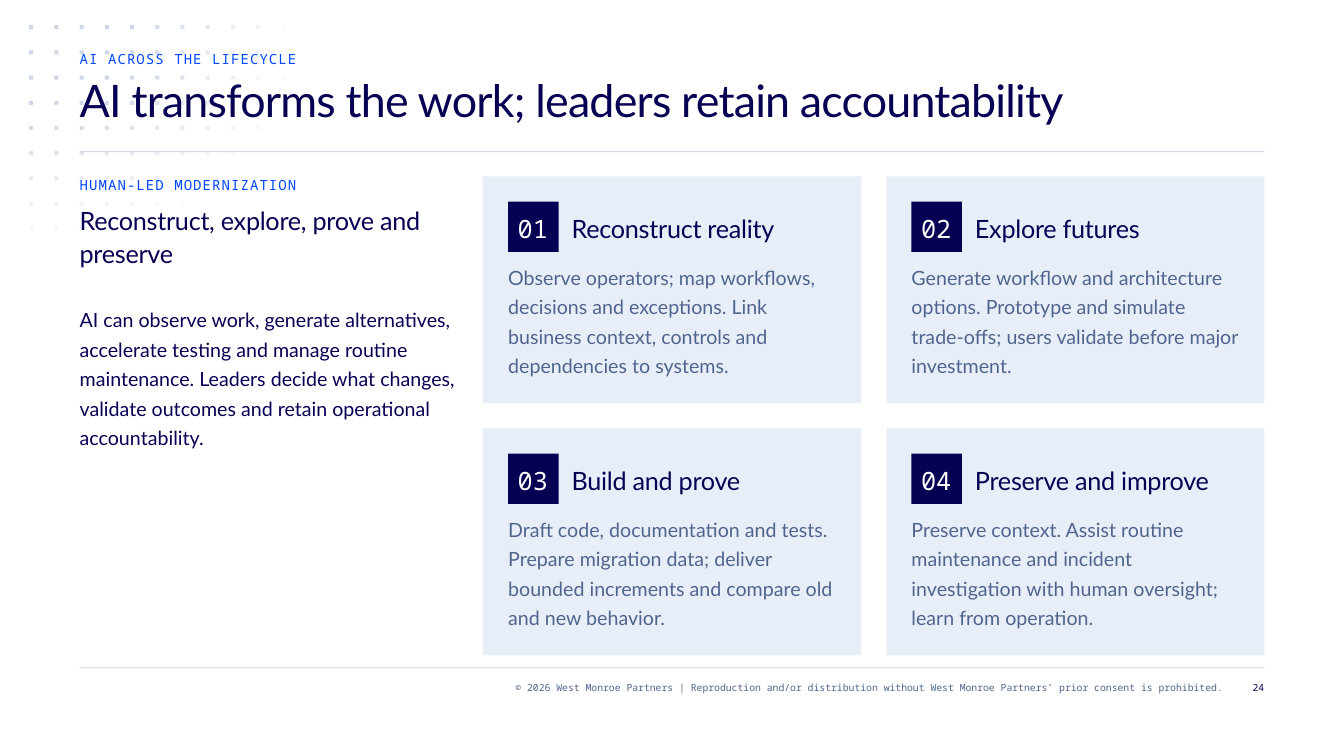
from math import hypot

from lxml.etree import SubElement
from pptx import Presentation
from pptx.dml.color import RGBColor
from pptx.enum.shapes import MSO_SHAPE
from pptx.enum.text import PP_ALIGN
from pptx.oxml.ns import qn
from pptx.util import Inches, Pt

EYEBROW = "AI ACROSS THE LIFECYCLE"
TITLE = "AI transforms the work; leaders retain accountability"
INTRO_LABEL = "HUMAN-LED MODERNIZATION"
INTRO_HEADING = "Reconstruct, explore, prove and preserve"
INTRO_BODY = (
    "AI can observe work, generate alternatives, accelerate testing and manage "
    "routine maintenance. Leaders decide what changes, validate outcomes and "
    "retain operational accountability."
)
STAGES = [
    ("Reconstruct reality",
     "Observe operators; map workflows, decisions and exceptions. Link business "
     "context, controls and dependencies to systems."),
    ("Explore futures",
     "Generate workflow and architecture options. Prototype and simulate "
     "trade-offs; users validate before major investment."),
    ("Build and prove",
     "Draft code, documentation and tests. Prepare migration data; deliver "
     "bounded increments and compare old and new behavior."),
    ("Preserve and improve",
     "Preserve context. Assist routine maintenance and incident investigation "
     "with human oversight; learn from operation."),
]
COPYRIGHT = (
    "© 2026 West Monroe Partners | Reproduction and/or distribution without "
    "West Monroe Partners’ prior consent is prohibited."
)
PAGE_NUMBER = "24"

NAVY = RGBColor(0x07, 0x01, 0x54)
BLUE = RGBColor(0x00, 0x47, 0xFF)
SLATE = RGBColor(0x50, 0x65, 0x8E)
MIST = RGBColor(0xCE, 0xD7, 0xE6)
PALE = RGBColor(0xE8, 0xEE, 0xF8)
WHITE = RGBColor(0xFF, 0xFF, 0xFF)
SANS, MONO = "Lato", "Noto Sans Mono"

LABEL = dict(font=MONO, size=10, leading=12, color=BLUE, tracking=0.8)
HEADLINE = dict(font=SANS, size=32, leading=36, color=NAVY, tracking=-0.6)
HEADING = dict(font=SANS, size=18, leading=24, color=NAVY, tracking=-0.2)
BODY = dict(font=SANS, size=14, leading=21, color=NAVY)
CARD_BODY = dict(BODY, color=SLATE)
NUMBER = dict(font=MONO, size=18, leading=24, color=WHITE, align=PP_ALIGN.CENTER)
FOOTER = dict(font=MONO, size=7, leading=9, color=SLATE, align=PP_ALIGN.RIGHT)
FOLIO = dict(FOOTER, color=NAVY)

MARGIN, CONTENT_WIDTH = 0.79, 11.75
COLUMN, CARD_HEIGHT, GUTTER = 3.75, 2.25, 0.25
CARDS_TOP = 1.75
DOT_LEFT, DOT_TOP, DOT_STEP, DOT_SIZE = 0.29, 0.25, 0.25, 0.04

presentation = Presentation()
presentation.slide_width = Inches(13.33)
presentation.slide_height = Inches(7.5)
slide = presentation.slides.add_slide(presentation.slide_layouts[6])


def add_block(left, top, width, height, color, opacity=100):
    block = slide.shapes.add_shape(
        MSO_SHAPE.RECTANGLE, Inches(left), Inches(top), Inches(width), Inches(height))
    block.shadow.inherit = False
    block.fill.solid()
    block.fill.fore_color.rgb = color
    block.line.fill.background()
    if opacity < 100:
        tint = block.fill._xPr.find(qn("a:solidFill"))[0]
        SubElement(tint, qn("a:alpha")).set("val", str(opacity * 1000))


def add_text(text, left, top, width, height, font, size, leading, color,
             tracking=0, align=PP_ALIGN.LEFT):
    box = slide.shapes.add_textbox(
        Inches(left), Inches(top), Inches(width), Inches(height))
    frame = box.text_frame
    frame.word_wrap = True
    frame.margin_left = frame.margin_right = 0
    frame.margin_top = frame.margin_bottom = 0
    paragraph = frame.paragraphs[0]
    paragraph.alignment = align
    paragraph.line_spacing = Pt(leading)
    run = paragraph.add_run()
    run.text = text
    run.font.name = font
    run.font.size = Pt(size)
    run.font.color.rgb = color
    if tracking:
        run.font._element.set("spc", str(round(tracking * 100)))


def add_dots():
    for column in range(11):
        for row in range(9):
            opacity = min(100, round(152.5 - 13.83 * hypot(column, 1.21 * row)))
            if opacity > 2:
                add_block(DOT_LEFT + column * DOT_STEP, DOT_TOP + row * DOT_STEP,
                          DOT_SIZE, DOT_SIZE, MIST, opacity)


def add_card(index, heading, body):
    row, column = divmod(index, 2)
    left = MARGIN + (column + 1) * (COLUMN + GUTTER)
    top = CARDS_TOP + row * (CARD_HEIGHT + GUTTER)
    inner = left + GUTTER
    add_block(left, top, COLUMN, CARD_HEIGHT, PALE)
    add_text(body, inner, top + 0.83, COLUMN - 2 * GUTTER, 1.17, **CARD_BODY)
    add_block(inner, top + GUTTER, 0.5, 0.5, NAVY)
    add_text(f"{index + 1:02}", inner + 0.08, top + 0.33, 0.33, 0.33, **NUMBER)
    add_text(heading, inner + 0.63, top + 0.33, 2.75, 0.33, **HEADING)


add_dots()
for rule_top in (1.5, 6.62):
    add_block(MARGIN, rule_top, CONTENT_WIDTH, 0.01, MIST)

add_text(EYEBROW, MARGIN, 0.5, CONTENT_WIDTH, 0.17, **LABEL)
add_text(TITLE, MARGIN, 0.75, CONTENT_WIDTH, 0.75, **HEADLINE)

add_text(INTRO_LABEL, MARGIN, CARDS_TOP, COLUMN, 0.17, **LABEL)
add_text(INTRO_HEADING, MARGIN, 2, COLUMN, 0.75, **HEADING)
add_text(INTRO_BODY, MARGIN, 3, COLUMN, 1.46, **BODY)

for index, (heading, body) in enumerate(STAGES):
    add_card(index, heading, body)

add_text(COPYRIGHT, 2.38, 6.75, 9.75, 0.25, **FOOTER)
add_text(PAGE_NUMBER, 12.21, 6.75, 0.33, 0.25, **FOLIO)

presentation.save("out.pptx")
